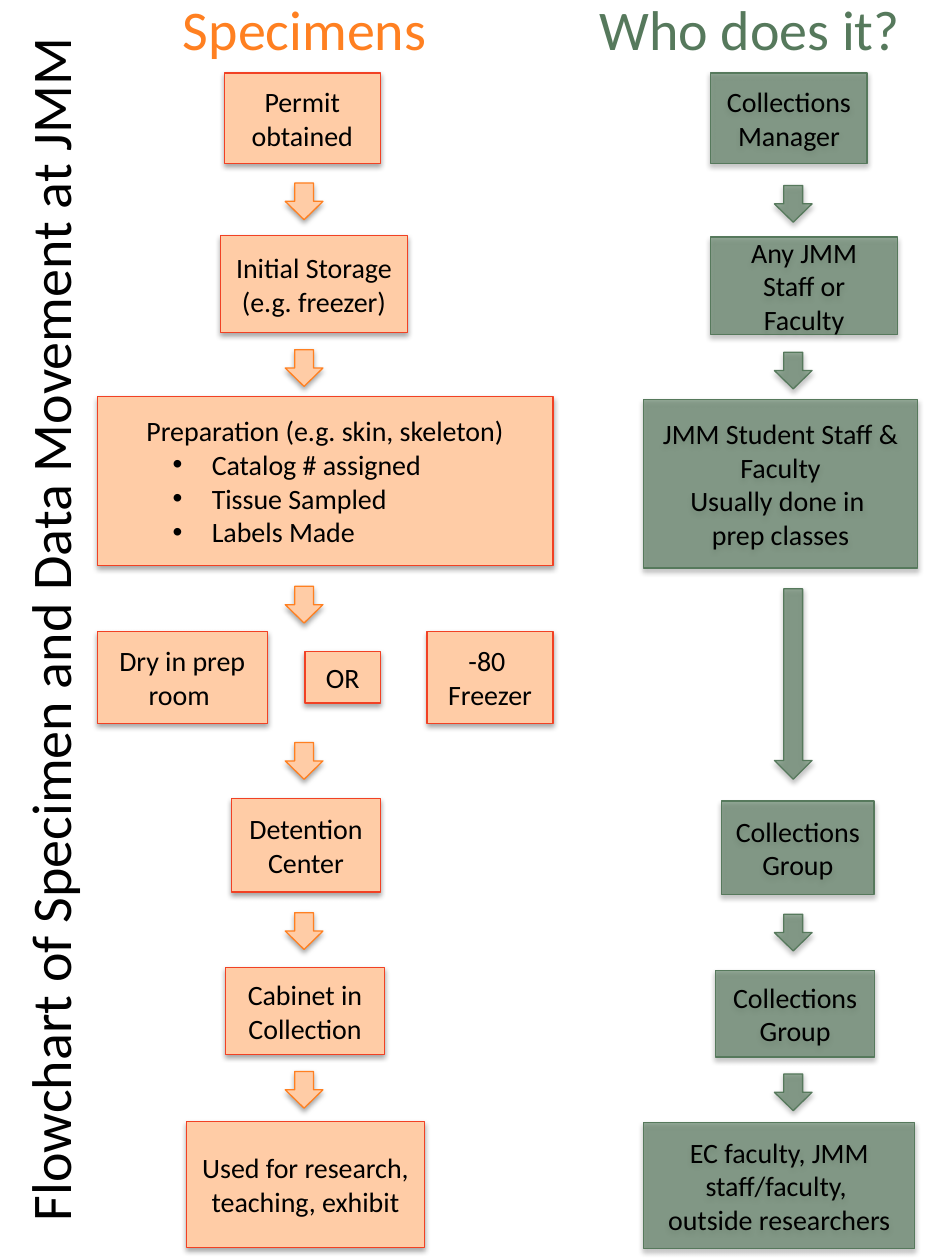
import pptx
import pptx.util
import pptx.dml.color
import pptx.enum.shapes
import pptx.enum.text
import pptx.oxml.ns
from lxml import etree

Cm, Pt = pptx.util.Cm, pptx.util.Pt
qn = pptx.oxml.ns.qn
KIND = pptx.enum.shapes.MSO_SHAPE
ALIGN = pptx.enum.text.PP_ALIGN
MIDDLE = pptx.enum.text.MSO_ANCHOR.MIDDLE

HUES = {"peach": "FFCCA6", "red": "F14124", "orange": "FF8021",
        "green": "56795C", "black": "000000"}

SPECIMENS = [
    ("Permit obtained", 4.52, 1.47, 3.15, 1.83),
    ("Initial Storage\n(e.g. freezer)", 4.45, 4.75, 3.76, 1.96),
    ("Dry in prep room ", 1.96, 12.73, 3.43, 1.85),
    ("OR", 6.15, 13.13, 1.52, 1.04),
    ("-80 \nFreezer", 8.61, 12.73, 2.54, 1.85),
    ("Detention Center", 4.67, 16.1, 3, 1.88),
    ("Cabinet in Collection", 4.55, 19.51, 3.2, 1.75),
    ("Used for research, teaching, exhibit", 3.76, 22.61, 4.8, 2.54),
]
PREP = ("Preparation (e.g. skin, skeleton)\nCatalog # assigned\n"
        "Tissue Sampled\nLabels Made", 1.96, 8, 9.19, 3.4)
PEOPLE = [
    ("Collections Manager", 14.33, 1.47, 3.15, 1.83),
    ("Any JMM Staff or Faculty", 14.33, 4.78, 3.76, 1.96),
    ("JMM Student Staff & Faculty\nUsually done in \nprep classes",
     12.98, 8.05, 5.51, 3.4),
    ("Collections Group", 14.55, 16.15, 3.07, 1.88),
    ("Collections Group", 14.43, 19.56, 3.2, 1.75),
    ("EC faculty, JMM staff/faculty, \noutside researchers",
     12.98, 22.63, 5.46, 2.54),
]
SHORT = 0.74
STEPS = [(y, SHORT) for y in (4.06, 7.42, 12.19, 15.34, 18.77, 21.97)]
TURNS = [(4.11, SHORT), (7.47, SHORT), (13.79, 3.84),
         (18.8, SHORT), (22.02, SHORT)]


def color(name):
    """Return the named colour."""
    return pptx.dml.color.RGBColor.from_string(HUES[name])


def write(shape, text, size, hue):
    """Put centred text in a shape."""
    frame = shape.text_frame
    frame.text = text
    frame.word_wrap = True
    frame.vertical_anchor = MIDDLE
    for par in frame.paragraphs:
        par.alignment = ALIGN.CENTER
        for run in par.runs:
            run.font.size = Pt(size)
            run.font.name = "Calibri"
            run.font.color.rgb = color(hue)


def shade(shape):
    """Give a shape a soft shadow below it."""
    shape.shadow.inherit = False
    glow = etree.SubElement(
        shape.element.spPr.find(qn("a:effectLst")), qn("a:outerShdw"),
        blurRad=str(Pt(3.1)), dist=str(Pt(1.8)), dir="5400000", rotWithShape="0")
    tint = etree.SubElement(glow, qn("a:srgbClr"), val=HUES["black"])
    etree.SubElement(tint, qn("a:alpha"), val="35000")


def paint(shape, fill, line):
    """Set fill, outline and shadow; green fills are see-through."""
    shape.fill.solid()
    shape.fill.fore_color.rgb = color(fill)
    if fill == "green":
        tint = shape.element.spPr.find(qn("a:solidFill"))[0]
        etree.SubElement(tint, qn("a:alpha"), val="62000")
    shape.line.color.rgb = color(line)
    shape.line.width = Pt(0.75)
    shade(shape)


def add_box(slide, text, left, top, width, height, fill, line):
    """Add a process box."""
    box = slide.shapes.add_shape(
        KIND.FLOWCHART_PROCESS, Cm(left), Cm(top), Cm(width), Cm(height))
    paint(box, fill, line)
    write(box, text, 16, "black")
    return box


def add_arrow(slide, mid, y, length, fill, line):
    """Add a down arrow centred on a point."""
    thick = 0.76
    arrow = slide.shapes.add_shape(
        KIND.RIGHT_ARROW, Cm(mid - length / 2), Cm(y - thick / 2),
        Cm(length), Cm(thick))
    arrow.rotation = 90
    paint(arrow, fill, line)


def add_head(slide, text, left, hue):
    """Add a column heading."""
    head = slide.shapes.add_textbox(Cm(left), Cm(0), Cm(8.13), Cm(1.14))
    write(head, text, 32, hue)


def set_title(slide, text):
    """Turn the title to run up the left edge."""
    title = slide.shapes.title
    title.left, title.top = Cm(-11.71), Cm(11.71)
    title.width, title.height = Cm(25.4), Cm(1.96)
    title.rotation = 270
    write(title, text, 32, "black")


def set_list(pars):
    """Make bullets of the paragraphs."""
    for par in pars:
        par.alignment = ALIGN.LEFT
        par.level = 1
        prop = par._p.get_or_add_pPr()
        prop.set("marL", str(Cm(2.06)))
        prop.set("indent", str(Cm(-0.79)))
        etree.SubElement(prop, qn("a:buFont"), typeface="Arial")
        etree.SubElement(prop, qn("a:buChar"), char="•")


def main():
    """Build the flowchart slide."""
    deck = pptx.Presentation()
    deck.slide_width, deck.slide_height = Cm(19.05), Cm(25.4)
    slide = deck.slides.add_slide(deck.slide_layouts[5])
    set_title(slide, "Flowchart of Specimen and Data Movement at JMM")
    add_head(slide, "Specimens", 2.08, "orange")
    add_head(slide, "Who does it?", 11.05, "green")
    prep = add_box(slide, *PREP, "peach", "red")
    set_list(prep.text_frame.paragraphs[1:])
    for boxes, fill, edge, steps, mid, line in (
            (SPECIMENS, "peach", "red", STEPS, 6.13, "orange"),
            (PEOPLE, "green", "green", TURNS, 15.99, "green")):
        for box in boxes:
            add_box(slide, *box, fill, edge)
        for y, length in steps:
            add_arrow(slide, mid, y, length, fill, line)
    deck.save("out.pptx")


if __name__ == "__main__":
    main()
